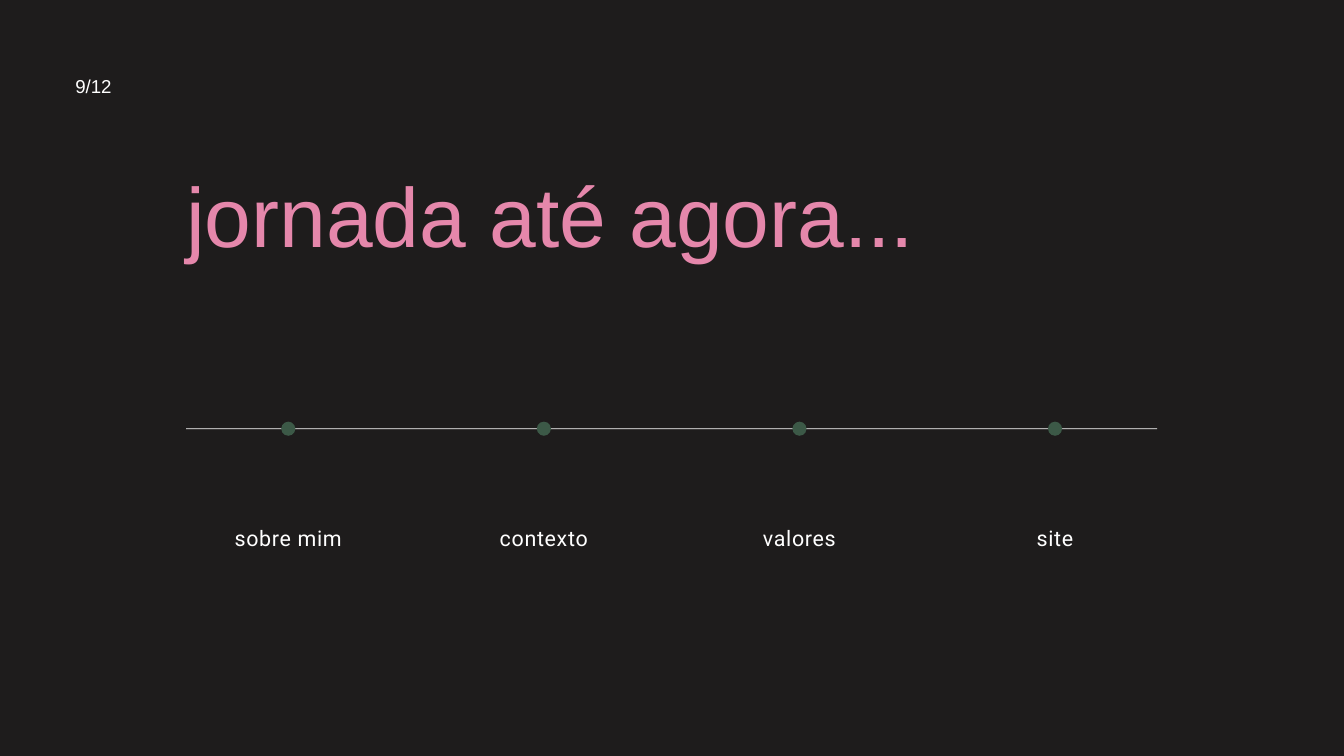
from pptx import Presentation
from pptx import util as u
from pptx.dml.color import RGBColor
from pptx.enum import shapes, text

COLORS = {"back": "1E1C1C", "title": "E587AB", "light": "FFFFFF", "dot": "3C5947"}
TITLE = "jornada até agora..."
PAGE = "9/12"
STEPS = ["sobre mim", "contexto", "valores", "site"]

W, H = 20, 11.25
LEFT, WIDTH = 2.77, 14.45
STEP_W = 3.04
PITCH = (WIDTH - STEP_W) / (len(STEPS) - 1)
LINE_Y, LINE_H, DOT = 6.38, 0.01, 0.21
LABEL_Y = 7.82


def rgb(name):
    return RGBColor.from_string(COLORS[name])


def add_text(s, box, content, size, leading, font, color, align=text.PP_ALIGN.LEFT, spacing=None):
    tf = s.shapes.add_textbox(*map(u.Inches, box)).text_frame
    tf.margin_left = tf.margin_right = tf.margin_top = tf.margin_bottom = 0
    tf.word_wrap = True
    tf.auto_size = text.MSO_AUTO_SIZE.SHAPE_TO_FIT_TEXT
    p = tf.paragraphs[0]
    p.text = content
    p.alignment = align
    p.line_spacing = u.Pt(leading)
    r = p.runs[0]
    r.font.size = u.Pt(size)
    r.font.name = font
    r.font.color.rgb = rgb(color)
    if spacing:
        r.font._element.set("spc", str(spacing))


def add_solid(group, kind, box, color):
    sp = group.shapes.add_shape(kind, *map(u.Inches, box))
    sp.shadow.inherit = False
    sp.fill.solid()
    sp.fill.fore_color.rgb = rgb(color)
    sp.line.fill.background()


def main():
    prs = Presentation()
    prs.slide_width, prs.slide_height = u.Inches(W), u.Inches(H)
    s = prs.slides.add_slide(prs.slide_layouts[6])
    s.background.fill.solid()
    s.background.fill.fore_color.rgb = rgb("back")

    add_text(s, (LEFT, 2.56, WIDTH, 1.51), TITLE, 90, 99, "Arial", "title")
    add_text(s, (1.12, 1.11, 0.65, 0.36), PAGE, 20, 24, "Arial", "light")

    lefts = [LEFT + i * PITCH for i in range(len(STEPS))]
    for x, step in zip(lefts, STEPS):
        add_text(s, (x, LABEL_Y, STEP_W, 0.4), step, 23, 27.6, "Roboto", "light",
                 text.PP_ALIGN.CENTER, 70)

    timeline = s.shapes.add_group_shape()
    add_solid(timeline, shapes.MSO_SHAPE.RECTANGLE,
              (LEFT, LINE_Y - LINE_H / 2, WIDTH, LINE_H), "light")
    for x in lefts:
        add_solid(timeline, shapes.MSO_SHAPE.OVAL,
                  (x + (STEP_W - DOT) / 2, LINE_Y - DOT / 2, DOT, DOT), "dot")

    prs.save("out.pptx")


if __name__ == "__main__":
    main()
